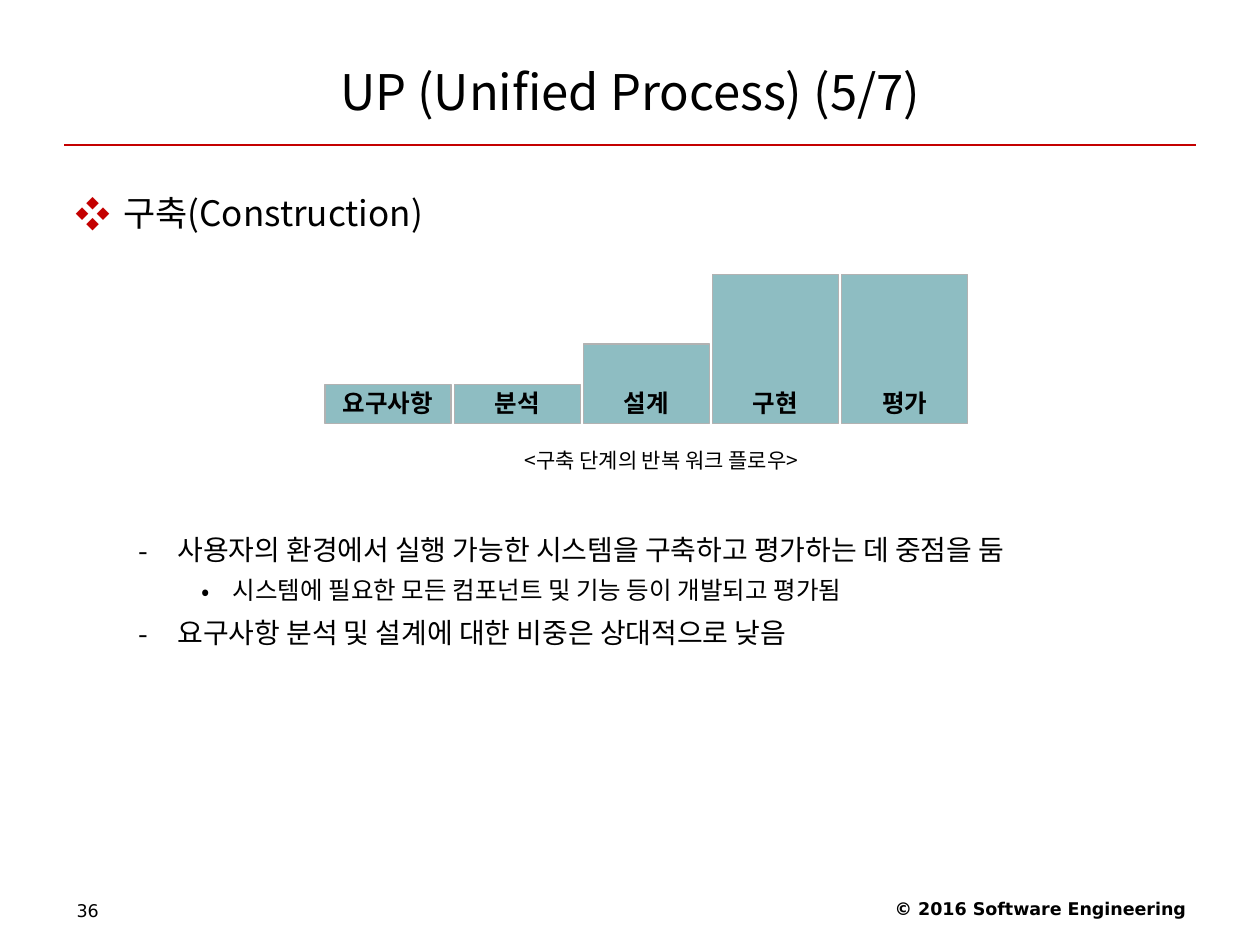
from lxml.etree import SubElement
from pptx import Presentation
from pptx.dml.color import RGBColor
from pptx.enum.shapes import MSO_CONNECTOR, MSO_SHAPE
from pptx.enum.text import MSO_ANCHOR, PP_ALIGN
from pptx.oxml.ns import qn
from pptx.util import Inches, Pt

BLACK, RED, TEAL, GRAY = "000000", "C40000", "8EBDC2", "B2B2B2"
KOREAN, LATIN = "Noto Sans CJK KR", "DejaVu Sans"


def color(hex_code):
    """Turn a hex string into a colour."""
    return RGBColor.from_string(hex_code)


def add_bullet(paragraph, symbol, bullet_color, margin, hang):
    """Give a paragraph a hanging bullet."""
    properties = paragraph._p.get_or_add_pPr()
    properties.set("marL", str(Inches(margin)))
    properties.set("indent", str(-Inches(hang)))
    fill = SubElement(properties, qn("a:buClr"))
    SubElement(fill, qn("a:srgbClr"), val=bullet_color)
    SubElement(properties, qn("a:buFont"), typeface=KOREAN)
    SubElement(properties, qn("a:buChar"), char=symbol)


def write(paragraph, text, size=16, font=KOREAN, bold=False,
          align=PP_ALIGN.LEFT, before=0, spacing=1.0, bullet=None):
    """Write one formatted paragraph."""
    paragraph.alignment = align
    paragraph.line_spacing = spacing
    paragraph.space_before = Pt(before)
    if bullet:
        add_bullet(paragraph, *bullet)
    run = paragraph.add_run()
    run.text = text
    run.font.size = Pt(size)
    run.font.name = font
    run.font.bold = bold
    run.font.color.rgb = color(BLACK)
    if font == KOREAN:
        SubElement(run._r.get_or_add_rPr(), qn("a:ea"), typeface=KOREAN)


def add_frame(slide, left, top, width, height, anchor=MSO_ANCHOR.TOP):
    """Add a wrapping text box and return its text frame."""
    frame = slide.shapes.add_textbox(
        Inches(left), Inches(top), Inches(width), Inches(height)).text_frame
    frame.word_wrap = True
    frame.vertical_anchor = anchor
    return frame


def add_header(slide, left, top, width, height):
    """Place the title above its red rule."""
    title = add_frame(slide, left, top, width, height, MSO_ANCHOR.MIDDLE)
    write(title.paragraphs[0], "UP (Unified Process) (5/7)", size=28, align=PP_ALIGN.CENTER)
    bottom = Inches(top + height)
    rule = slide.shapes.add_connector(
        MSO_CONNECTOR.STRAIGHT, Inches(left + 0.01), bottom, Inches(left + width - 0.01), bottom)
    rule.line.color.rgb = color(RED)
    rule.line.width = Pt(0.75)
    SubElement(rule._element.spPr, qn("a:effectLst"))


def add_heading(slide, left, top, width, height):
    """Place the section heading."""
    heading = add_frame(slide, left, top, width, height)
    write(heading.paragraphs[0], "구축(Construction)", size=20, bullet=("❖", RED, 0.38, 0.38))


def add_workflow(slide, left, top, width, height):
    """Place the workflow bars on a common base line."""
    stages = [("요구사항", 0.31), ("분석", 0.31), ("설계", 0.63), ("구현", height), ("평가", height)]
    gap = 0.025
    bar_width = (width - gap * (len(stages) - 1)) / len(stages)
    for index, (stage, bar_height) in enumerate(stages):
        bar = slide.shapes.add_shape(
            MSO_SHAPE.RECTANGLE, Inches(left + index * (bar_width + gap)),
            Inches(top + height - bar_height), Inches(bar_width), Inches(bar_height))
        bar.shadow.inherit = False
        bar.fill.solid()
        bar.fill.fore_color.rgb = color(TEAL)
        bar.line.color.rgb = color(GRAY)
        bar.line.width = Pt(0.75)
        bar.text_frame.word_wrap = False
        bar.text_frame.vertical_anchor = MSO_ANCHOR.BOTTOM
        write(bar.text_frame.paragraphs[0], stage, size=14, bold=True, align=PP_ALIGN.CENTER)


def add_caption(slide, left, top, width, height):
    """Place the caption of the workflow."""
    caption = add_frame(slide, left, top, width, height)
    write(caption.paragraphs[0], "<구축 단계의 반복 워크 플로우>", size=12, align=PP_ALIGN.CENTER)


def add_points(slide, left, top, width, height):
    """Place the points about the construction phase."""
    dash, dot = ("-", BLACK, 0.81, 0.31), ("•", BLACK, 1.25, 0.25)
    points = add_frame(slide, left, top, width, height)
    write(points.paragraphs[0], "사용자의 환경에서 실행 가능한 시스템을 구축하고 평가하는 데 중점을 둠", bullet=dash)
    write(points.add_paragraph(), "시스템에 필요한 모든 컴포넌트 및 기능 등이 개발되고 평가됨",
          size=14, font="Arial", before=3.5, spacing=1.1, bullet=dot)
    write(points.add_paragraph(), "요구사항 분석 및 설계에 대한 비중은 상대적으로 낮음",
          before=4, spacing=1.1, bullet=dash)


def add_footer(slide, left, top, width, height):
    """Place the page number and the copyright line."""
    half = width / 2
    number = add_frame(slide, left, top + 0.01, half, height)
    write(number.paragraphs[0], "36", size=10, font=LATIN)
    notice = add_frame(slide, left + half, top, half, height)
    write(notice.paragraphs[0], "© 2016 Software Engineering", size=10, font=LATIN,
          bold=True, align=PP_ALIGN.RIGHT)


def main():
    """Build the slide and save it."""
    deck = Presentation()
    deck.slide_width, deck.slide_height = Inches(10), Inches(7.5)
    slide = deck.slides.add_slide(deck.slide_layouts[6])
    add_header(slide, 0.5, 0.3, 9, 0.85)
    add_heading(slide, 0.5, 1.47, 9, 0.5)
    add_workflow(slide, 2.58, 2.18, 5.1, 1.18)
    add_caption(slide, 1, 3.5, 8.5, 0.35)
    add_points(slide, 0.5, 4.18, 9, 1.2)
    add_footer(slide, 0.51, 7.08, 9, 0.29)
    deck.save("out.pptx")


if __name__ == "__main__":
    main()
